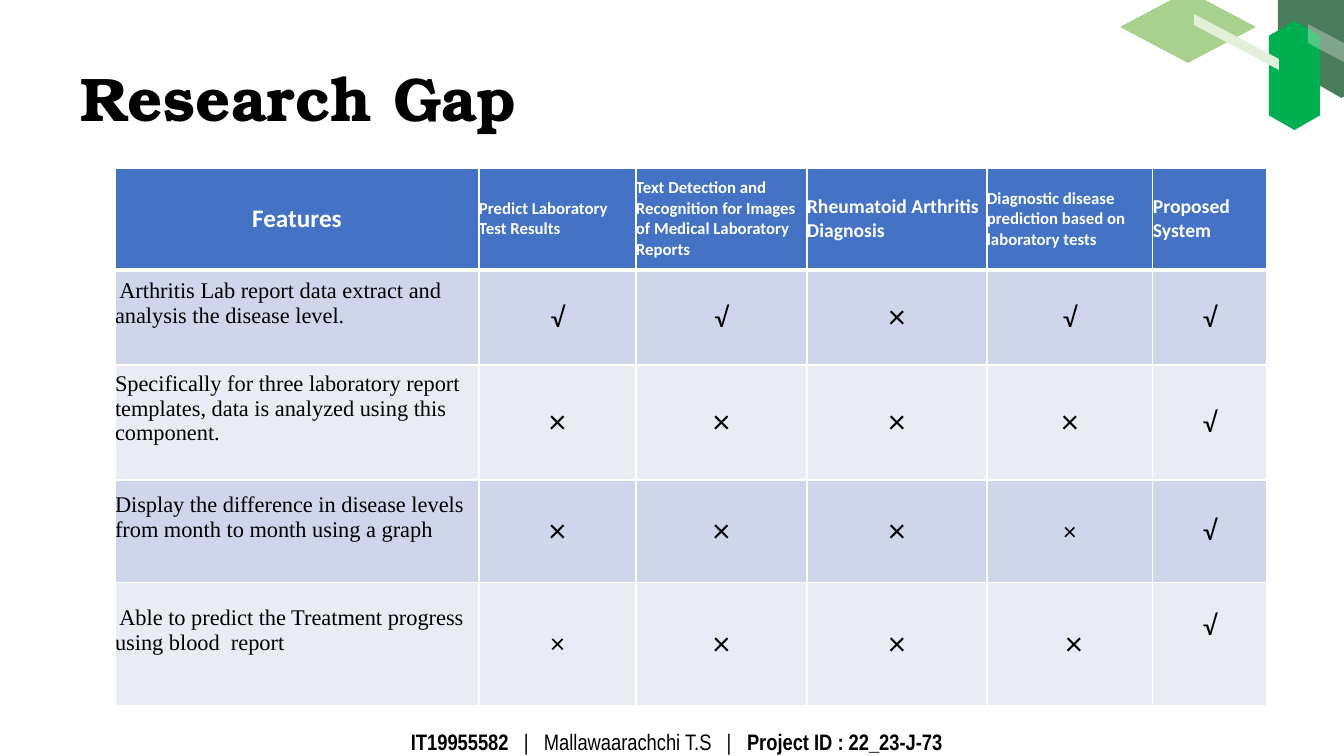
from lxml import etree
from pptx import Presentation
from pptx.dml.color import RGBColor
from pptx.enum.shapes import MSO_SHAPE
from pptx.enum.text import MSO_ANCHOR, MSO_AUTO_SIZE, PP_ALIGN
from pptx.oxml.ns import qn
from pptx.util import Pt

HEXAGON = MSO_SHAPE.HEXAGON
MIDDLE = MSO_ANCHOR.MIDDLE
LEFT, CENTER = PP_ALIGN.LEFT, PP_ALIGN.CENTER

TITLE = "Research Gap"
FOOTER = [  # text, bold
    ("IT19955582", True),
    ("   |   Mallawaarachchi T.S   |   ", False),
    ("Project ID : 22_23-J-73", True),
]
HEADERS = [  # text, size
    ("Features", 18),
    ("Predict Laboratory Test Results", 12),
    ("Text Detection and Recognition for Images of Medical Laboratory Reports", 12),
    ("Rheumatoid Arthritis Diagnosis", 14),
    ("Diagnostic disease prediction based on laboratory tests", 12),
    ("Proposed System", 14),
]
FEATURES = [  # feature, marks of the five systems
    (" Arthritis Lab report data extract and analysis the disease level.", "√√×√√"),
    ("Specifically for three laboratory report templates, data is analyzed "
     "using this component.", "××××√"),
    ("Display the difference in disease levels from month to month using a graph",
     "××××√"),
    (" Able to predict the Treatment progress using blood  report", "××××√"),
]
MARK_SIZES = {"√": 20, "×": 24}
SMALL_MARKS = {(3, 4): 18, (4, 1): 20}  # (row, column): size
MARK_INSETS = {(4, 4): {"left": 8}, (4, 5): {"bottom": 36}}

THEME = {
    "title_font": "TeX Gyre Bonum", "footer_font": "Arial Narrow",
    "table_font": "Calibri", "feature_font": "Times New Roman",
    "title_size": 44, "footer_size": 16, "feature_size": 16,
    "text": "000000", "white": "FFFFFF", "header": "4472C4",
    "bands": ("E9EBF5", "CFD5EA"),
    "dark": "487C5A", "leaf": "A9D18E", "green": "00B050", "pale": "E2F0D9",
}

# Lengths in px
SLIDE = (1344, 756)
TITLE_BOX = (70, 39, 466, 125)
FOOTER_BOX = (401, 722, 751, 40)
TABLE_AT = (115, 168)
COLUMNS = (364, 157, 171, 180, 166, 114)
ROWS = (102, 95, 115, 103, 123)
FEATURE_BOTTOM = 28
DECORATION = [  # kind, geometry, colour, opacity %
    ("hexagon", (1264, -43, 155, 127), "dark", 100),
    ("outline", [(1188, -9), (1256, 27), (1188, 63), (1120, 27)], "leaf", 100),
    ("hexagon", (1240, 50, 109, 51), "green", 100),
    ("outline", [(1279, 59), (1194, 14), (1194, 25), (1279, 70)], "pale", 100),
    ("outline", [(1453, 101), (1308, 24), (1308, 43), (1453, 120)], "white", 31),
]


def px(n):
    return round(n * 914400 / 100.8)


def rgb(name):
    return RGBColor.from_string(THEME.get(name, name))


def style(font, name, size, color, bold=False):
    font.name, font.size, font.bold = name, Pt(size), bold
    font.color.rgb = rgb(color)


def add_decoration(slide):
    group = slide.shapes.add_group_shape().shapes
    for kind, geometry, color, opacity in DECORATION:
        if kind == "hexagon":
            s = group.add_shape(HEXAGON, *map(px, geometry))
            s.adjustments[0] = 0.286
            s.rotation = 270
        else:
            start, *rest = geometry
            builder = group.build_freeform(*start, scale=px(1000) / 1000)
            builder.add_line_segments(rest, close=True)
            s = builder.convert_to_shape()
        s.shadow.inherit = False
        s.line.fill.background()
        s.fill.solid()
        s.fill.fore_color.rgb = rgb(color)
        if opacity < 100:
            clr = s.fill._xPr.find(".//" + qn("a:srgbClr"))
            etree.SubElement(clr, qn("a:alpha"), val=str(opacity * 1000))


def add_title(slide):
    title = slide.shapes.title
    title.left, title.top, title.width, title.height = map(px, TITLE_BOX)
    tf = title.text_frame
    tf.text = TITLE
    tf.vertical_anchor = MIDDLE
    tf.auto_size = MSO_AUTO_SIZE.NONE
    p = tf.paragraphs[0]
    p.alignment, p.line_spacing = LEFT, 0.9
    style(p.runs[0].font, THEME["title_font"], THEME["title_size"], "text", True)


def add_footer(slide):
    tf = slide.shapes.add_textbox(*map(px, FOOTER_BOX)).text_frame
    tf.word_wrap = True
    tf.vertical_anchor = MIDDLE
    for text, bold in FOOTER:
        r = tf.paragraphs[0].add_run()
        r.text = text
        style(r.font, THEME["footer_font"], THEME["footer_size"], "text", bold)


def set_borders(cell, bottom):
    tc_pr = cell._tc.get_or_add_tcPr()
    for side, width in (("L", 1), ("R", 1), ("T", 1), ("B", bottom)):
        ln = etree.SubElement(tc_pr, qn("a:ln" + side), w=str(Pt(width)))
        fill = etree.SubElement(ln, qn("a:solidFill"))
        etree.SubElement(fill, qn("a:srgbClr"), val=THEME["white"])


def fill_cell(cell, text, fill, font, align, inset=None, border=1):
    set_borders(cell, border)
    cell.fill.solid()
    cell.fill.fore_color.rgb = rgb(fill)
    cell.vertical_anchor = MIDDLE
    for side in ("left", "top", "right", "bottom"):
        setattr(cell, "margin_" + side, px((inset or {}).get(side, 0)))
    cell.text_frame.text = text
    p = cell.text_frame.paragraphs[0]
    p.alignment = align
    style(p.runs[0].font, *font)


def add_table(slide):
    table = slide.shapes.add_table(
        len(ROWS), len(COLUMNS), *map(px, TABLE_AT),
        px(sum(COLUMNS)), px(sum(ROWS))).table
    for column, width in zip(table.columns, COLUMNS):
        column.width = px(width)
    for row, height in zip(table.rows, ROWS):
        row.height = px(height)
    for j, (text, size) in enumerate(HEADERS):
        fill_cell(table.cell(0, j), text, "header",
                  (THEME["table_font"], size, "white", True),
                  LEFT if j else CENTER, border=3)
    for i, (feature, marks) in enumerate(FEATURES, 1):
        band = THEME["bands"][i % 2]
        fill_cell(table.cell(i, 0), feature, band,
                  (THEME["feature_font"], THEME["feature_size"], "text"),
                  LEFT, {"bottom": FEATURE_BOTTOM})
        for j, mark in enumerate(marks, 1):
            size = SMALL_MARKS.get((i, j), MARK_SIZES[mark])
            fill_cell(table.cell(i, j), mark, band,
                      (THEME["table_font"], size, "text"),
                      CENTER, MARK_INSETS.get((i, j)))


def main():
    prs = Presentation()
    prs.slide_width, prs.slide_height = map(px, SLIDE)
    slide = prs.slides.add_slide(prs.slide_layouts[5])
    add_footer(slide)
    add_decoration(slide)
    add_title(slide)
    add_table(slide)
    prs.save("out.pptx")


if __name__ == "__main__":
    main()
